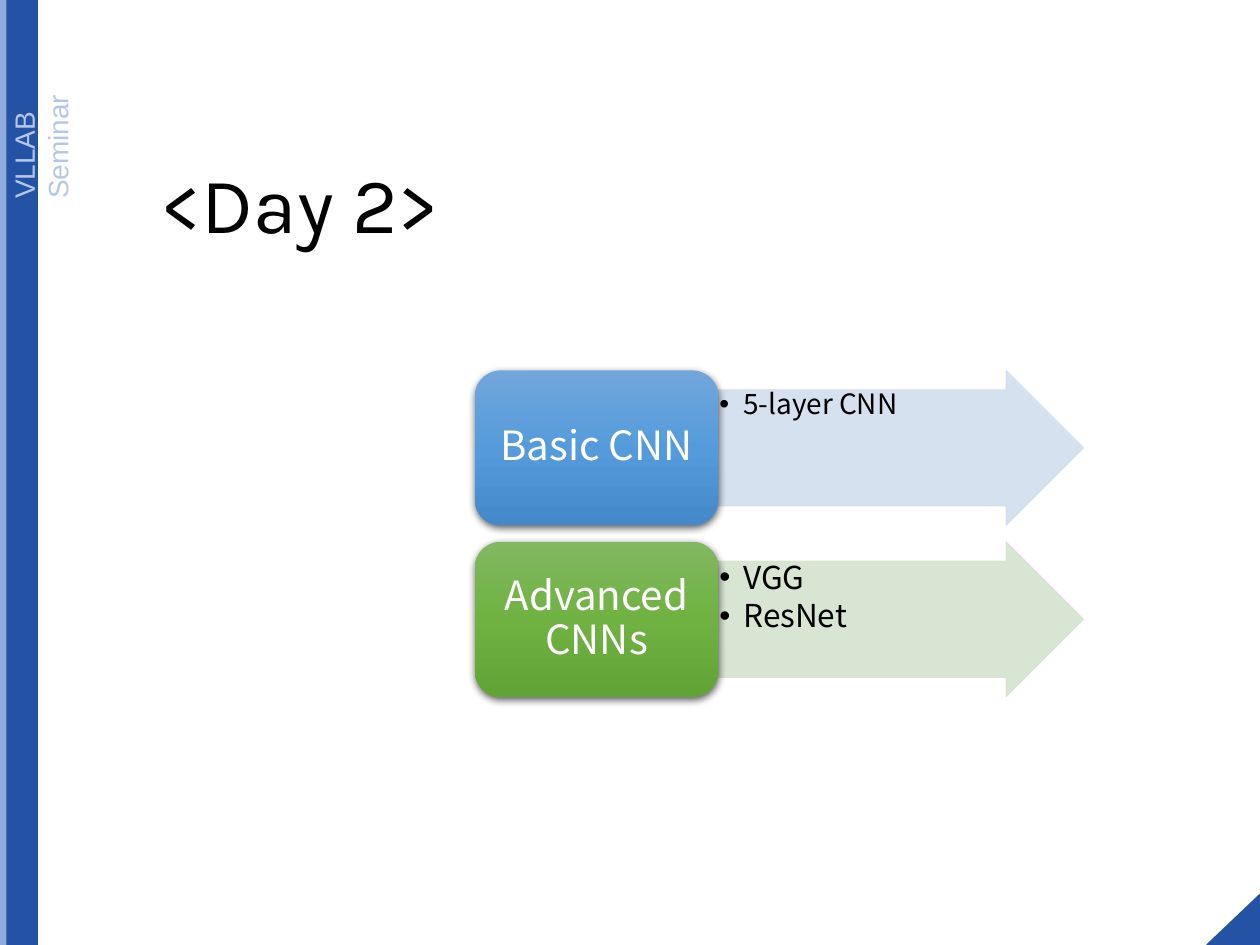
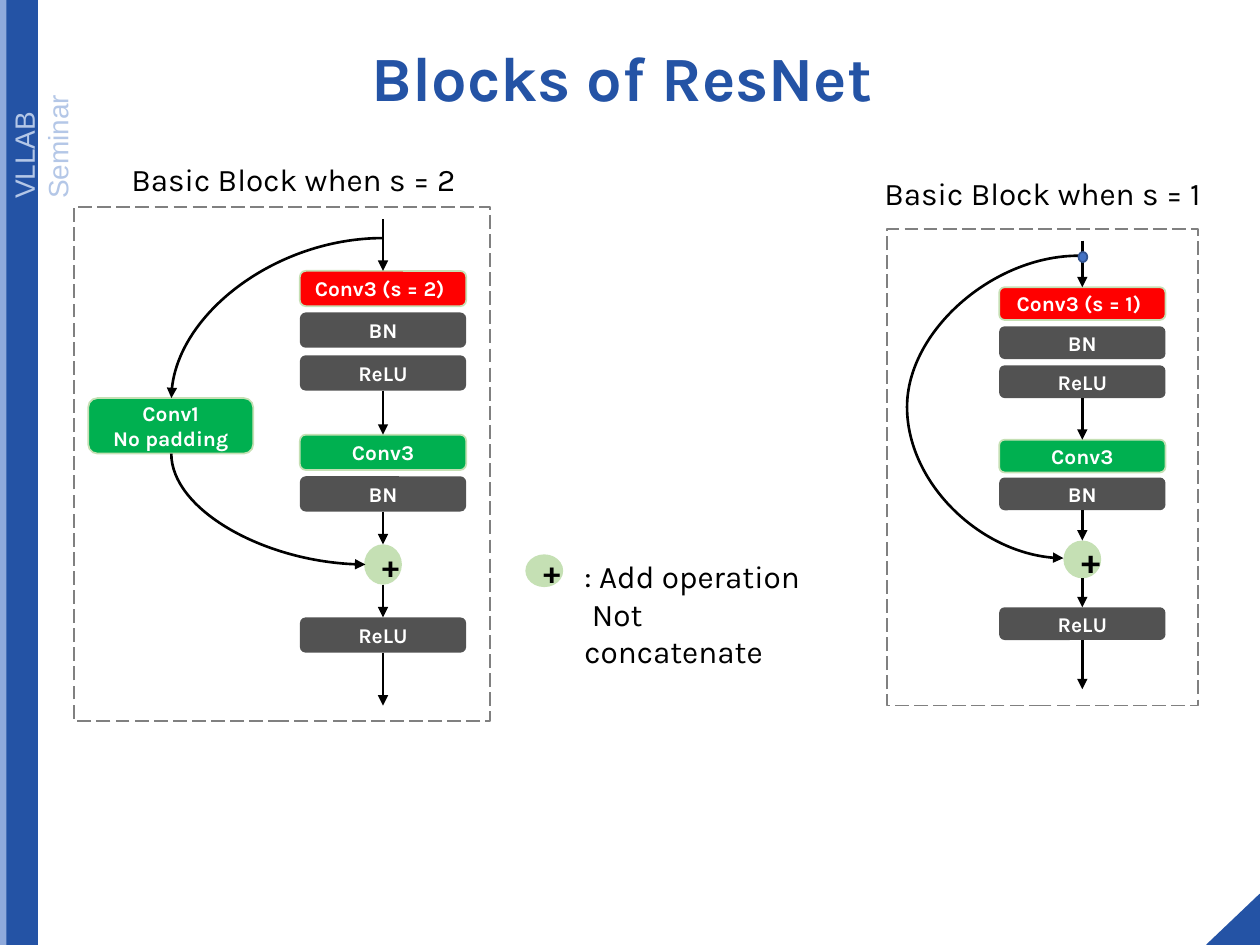
from dataclasses import dataclass
from typing import NamedTuple

from pptx import Presentation
from pptx.dml.color import RGBColor
from pptx.enum.dml import MSO_LINE
from pptx.enum.shapes import MSO_CONNECTOR, MSO_SHAPE
from pptx.enum.text import MSO_ANCHOR, PP_ALIGN
from pptx.oxml import parse_xml
from pptx.oxml.ns import nsdecls, qn
from pptx.util import Pt

PX = 9144  # EMU per px, 100 px to the inch
SLIDE_W, SLIDE_H = 1000, 750

COLORS = {
    "light_band": "8FAADC", "brand": "2453A5", "side_text": "B4C7E7",
    "black": "000000", "white": "FFFFFF", "gray": "525252", "dash": "808080",
    "red": "FF0000", "green": "00B050", "pale_green": "C5E0B4",
    "dot": "4472C4", "dot_line": "325491",
    "blue_arrow": "D2DEEF", "green_arrow": "D5E3CF",
    "blue_top": "71A6DB", "blue_mid": "559BDB", "blue_low": "448ACA",
    "green_top": "81B861", "green_mid": "6FB242", "green_low": "62A336",
}
KARLA, NOTO, ARIAL = "Karla", "Noto Sans CJK KR", "Arial"


class Box(NamedTuple):
    x: int
    y: int
    w: int
    h: int


class Style(NamedTuple):
    size: int
    color: str = "black"
    font: str = KARLA
    bold: bool = False
    align: PP_ALIGN = PP_ALIGN.CENTER
    spacing: float = 1.0
    after: float = 0  # share of the text size
    bullet: bool = False


LAYER = Style(12, "white", bold=True)
LABEL = Style(18)
STAGE = Style(23, "white", NOTO, spacing=0.9, after=0.35)


@dataclass
class Stage:
    name: str
    topics: list[str]
    size: int
    top: int
    arrow: str
    gradient: list[str]


@dataclass
class ResBlock:
    stride: int
    label: Box
    frame: Box
    center: int
    tops: list[int]  # conv, BN, ReLU, conv, BN, ReLU
    layer_h: int
    plus: Box
    plus_size: int
    start: int
    end: int


STAGES = [
    Stage("Basic CNN", ["5-layer CNN"], 16, 294, "blue_arrow",
          ["blue_top", "blue_mid", "blue_low"]),
    Stage("Advanced CNNs", ["VGG", "ResNet"], 18, 430, "green_arrow",
          ["green_top", "green_mid", "green_low"]),
]
BLOCKS = [
    ResBlock(2, Box(90, 122, 286, 40), Box(59, 164, 330, 408), 304,
             [215, 248, 282, 345, 378, 490], 28, Box(289, 432, 30, 32), 18, 174, 560),
    ResBlock(1, Box(680, 133, 295, 40), Box(704, 182, 247, 378), 859,
             [228, 259, 290, 349, 379, 482], 26, Box(844, 429, 30, 30), 20, 191, 547),
]


def rgb(name: str) -> RGBColor:
    return RGBColor.from_string(COLORS[name])


def emu(*lengths: int) -> list[int]:
    return [n * PX for n in lengths]


def write(sp, lines: list[str], style: Style, anchor=MSO_ANCHOR.MIDDLE,
          wrap: bool = True, insets=(10, 5, 10, 5)) -> None:
    tf = sp.text_frame
    sides = ("margin_left", "margin_top", "margin_right", "margin_bottom")
    frame_format = {"word_wrap": wrap, "vertical_anchor": anchor, **dict(zip(sides, emu(*insets)))}
    for name, value in frame_format.items():
        setattr(tf, name, value)
    for i, line in enumerate(lines):
        p = tf.add_paragraph() if i else tf.paragraphs[0]
        if style.bullet:
            pPr = p._p.get_or_add_pPr()
            pPr.set("marL", str(19 * PX))
            pPr.set("indent", str(-19 * PX))
            pPr.append(parse_xml(f'<a:buFont {nsdecls("a")} typeface="Arial"/>'))
            pPr.append(parse_xml(f'<a:buChar {nsdecls("a")} char="•"/>'))
        para_format = {"alignment": style.align, "line_spacing": style.spacing,
                       "space_after": Pt(style.size * style.after)}
        for name, value in para_format.items():
            setattr(p, name, value)
        r = p.add_run()
        r.text = line
        for name, value in {"name": style.font, "size": Pt(style.size), "bold": style.bold}.items():
            setattr(r.font, name, value)
        r.font.color.rgb = rgb(style.color)


def text(s, box: Box, lines: list[str], style: Style, **options):
    sp = s.shapes.add_textbox(*emu(*box))
    write(sp, lines, style, **options)
    return sp


def shape(s, kind, box: Box, fill: str = "", line: str = "", width: float = 1):
    sp = s.shapes.add_shape(kind, *emu(*box))
    sp.shadow.inherit = False
    if fill:
        sp.fill.solid()
        sp.fill.fore_color.rgb = rgb(fill)
    else:
        sp.fill.background()
    if line:
        sp.line.color.rgb = rgb(line)
        sp.line.width = Pt(width)
    else:
        sp.line.fill.background()
    return sp


def finish_arrow(c) -> None:
    c.line.color.rgb = rgb("black")
    c.line.width = Pt(1.5)
    c.line._get_or_add_ln().append(parse_xml(f'<a:tailEnd {nsdecls("a")} type="triangle"/>'))
    c._element.spPr.append(parse_xml(f'<a:effectLst {nsdecls("a")}/>'))


def down_arrow(s, x: int, top: int, bottom: int, source=None, target=None) -> None:
    c = s.shapes.add_connector(MSO_CONNECTOR.STRAIGHT, *emu(x, top, x, bottom))
    if source:
        c.begin_connect(source, 2)
    if target:
        c.end_connect(target, 0)
    finish_arrow(c)


def curve(s, box: Box, turn: int, flip: str, bends: int = 2, adj: int = 0) -> None:
    x, y, w, h = box
    c = s.shapes.add_connector(MSO_CONNECTOR.CURVE, *emu(x, y, x + w, y + h))
    spPr = c._element.spPr
    xfrm = spPr.find(qn("a:xfrm"))
    xfrm.set("rot", str(turn * 60000))
    xfrm.set(flip, "1")
    geom = spPr.find(qn("a:prstGeom"))
    geom.set("prst", f"curvedConnector{bends}")
    if adj:
        geom.find(qn("a:avLst")).append(
            parse_xml(f'<a:gd {nsdecls("a")} name="adj1" fmla="val {adj}"/>'))
    finish_arrow(c)


def new_slide(prs):
    """Add a slide with the side bands, seminar name and corner."""
    s = prs.slides.add_slide(prs.slide_layouts[6])
    for x, color in ((0, "light_band"), (5, "brand")):
        shape(s, MSO_SHAPE.RECTANGLE, Box(x, 0, 25, SLIDE_H), color)
    side = text(s, Box(-65, 65, 168, 37), ["VLLAB Seminar"],
                Style(16, "side_text", ARIAL, align=PP_ALIGN.LEFT), anchor=MSO_ANCHOR.TOP)
    corner = shape(s, MSO_SHAPE.RIGHT_TRIANGLE, Box(959, 709, 40, 42), "brand", "brand")
    side.rotation = corner.rotation = 270
    return s


def draw_stage(s, stage: Stage) -> None:
    # Arrow with topics
    arrow = shape(s, MSO_SHAPE.RIGHT_ARROW, Box(570, stage.top, 290, 123),
                  stage.arrow, stage.arrow, 0.5)
    arrow.adjustments[0], arrow.adjustments[1] = 0.75, 0.5
    for clr in arrow._element.spPr.iter(qn("a:srgbClr")):
        clr.append(parse_xml(f'<a:alpha {nsdecls("a")} val="90000"/>'))
    topics = Style(stage.size, font=NOTO, align=PP_ALIGN.LEFT, spacing=0.9, after=0.15, bullet=True)
    text(s, Box(570, stage.top + 15, 244, 92), stage.topics, topics,
         anchor=MSO_ANCHOR.TOP, insets=(1, 1, 1, 1))

    # Shaded card
    card = shape(s, MSO_SHAPE.ROUNDED_RECTANGLE, Box(377, stage.top, 193, 123))
    card.fill.gradient()
    card.fill.gradient_angle = 270
    spPr = card._element.spPr
    stops = spPr.find(qn("a:gradFill")).find(qn("a:gsLst"))
    for stop in list(stops):
        stops.remove(stop)
    for i, color in enumerate(stage.gradient):
        stops.append(parse_xml(f'<a:gs {nsdecls("a")} pos="{i * 50000}">'
                               f'<a:srgbClr val="{COLORS[color]}"/></a:gs>'))
    spPr.find(qn("a:effectLst")).append(parse_xml(
        f'<a:outerShdw {nsdecls("a")} blurRad="{Pt(4.5)}" dist="{Pt(1.5)}" dir="5400000" '
        'algn="ctr" rotWithShape="0"><a:srgbClr val="000000"><a:alpha val="63000"/>'
        '</a:srgbClr></a:outerShdw>'))
    text(s, Box(383, stage.top + 6, 181, 111), [stage.name], STAGE)


def layer(s, box: Box, lines: list[str], fill: str, right: int = 10):
    sp = shape(s, MSO_SHAPE.ROUNDED_RECTANGLE, box, fill, "" if fill == "gray" else "pale_green")
    write(sp, lines, LAYER, insets=(10, 5, right, 5))
    return sp


def plus_sign(s, box: Box, size: int):
    sp = shape(s, MSO_SHAPE.OVAL, box, "pale_green")
    write(sp, ["+"], Style(size, bold=True))
    return sp


def draw_block(s, b: ResBlock) -> None:
    text(s, b.label, [f"Basic Block when s = {b.stride}"], LABEL, anchor=MSO_ANCHOR.TOP, wrap=False)
    frame = shape(s, MSO_SHAPE.RECTANGLE, b.frame, line="dash")
    frame.line.dash_style = MSO_LINE.LONG_DASH

    # Layers
    kinds = [(f"Conv3 (s = {b.stride})", "red"), ("BN", "gray"), ("ReLU", "gray"),
             ("Conv3", "green"), ("BN", "gray"), ("ReLU", "gray")]
    conv1, _, relu1, conv2, bn2, relu2 = [
        layer(s, Box(b.center - 66, top, 132, b.layer_h), [name], fill, 15 if fill == "red" else 10)
        for (name, fill), top in zip(kinds, b.tops)]
    plus = plus_sign(s, b.plus, b.plus_size)

    # Arrows down the column
    bottoms = [top + b.layer_h for top in b.tops]
    down_arrow(s, b.center, b.start, b.tops[0], target=conv1)
    down_arrow(s, b.center, bottoms[2], b.tops[3], relu1, conv2)
    down_arrow(s, b.center, bottoms[4], b.plus.y, bn2, plus)
    down_arrow(s, b.center, b.plus.y + b.plus.h, b.tops[5], target=relu2)
    down_arrow(s, b.center, bottoms[5], b.end, relu2)


def main() -> None:
    prs = Presentation()
    prs.slide_width, prs.slide_height = emu(SLIDE_W, SLIDE_H)

    # Day 2 agenda
    s = new_slide(prs)
    text(s, Box(-4, 36, 484, 258), ["<Day 2>"], Style(45, spacing=0.9))
    for stage in STAGES:
        draw_stage(s, stage)

    # ResNet blocks
    s = new_slide(prs)
    text(s, Box(69, 19, 862, 91), ["Blocks of ResNet "], Style(36, "brand", bold=True, spacing=0.9))
    for block in BLOCKS:
        draw_block(s, block)

    # Shortcut through Conv1
    layer(s, Box(70, 316, 131, 44), ["Conv1", "No padding"], "green")
    curve(s, Box(136, 189, 168, 127), 180, "flipV")
    curve(s, Box(169, 327, 88, 154), 270, "flipH")

    # Identity shortcut
    curve(s, Box(844, 203, 12, 240), 180, "flipV", bends=3, adj=1133500)
    shape(s, MSO_SHAPE.OVAL, Box(856, 200, 7, 8), "dot", "dot_line")

    # Legend
    plus_sign(s, Box(417, 440, 30, 26), 18)
    text(s, Box(454, 437, 210, 71), [": Add operation", " Not concatenate"],
         LABEL._replace(align=PP_ALIGN.LEFT), anchor=MSO_ANCHOR.TOP)

    prs.save("out.pptx")


if __name__ == "__main__":
    main()
